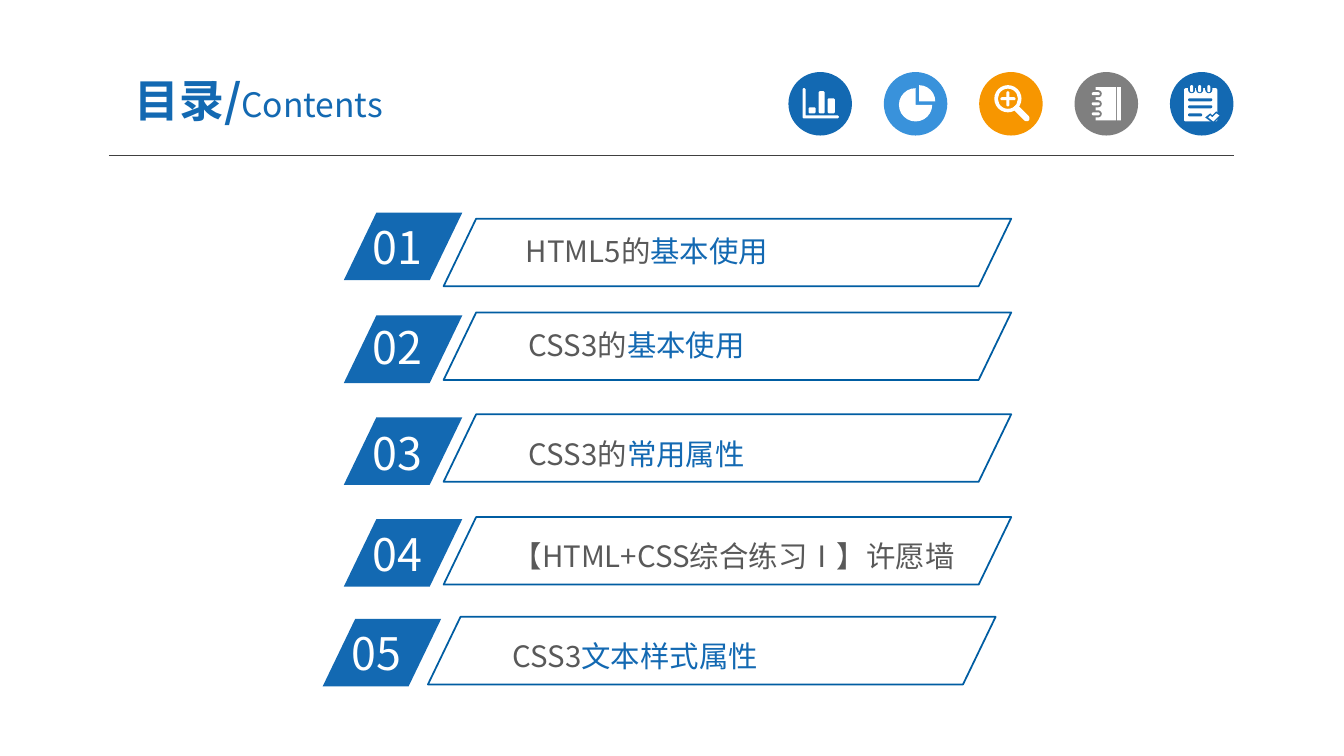
from dataclasses import dataclass

from lxml import etree
from pptx import Presentation
from pptx import util as u
from pptx.dml.color import RGBColor
from pptx.enum import shapes, text
from pptx.oxml.ns import qn

COLUMNS, ROWS = 1333, 750
PRESET = shapes.MSO_SHAPE


@dataclass(frozen=True)
class Theme:
    font: str = "Noto Sans CJK SC"
    blue: str = "1369B2"
    sky: str = "3992DB"
    orange: str = "F79600"
    gray: str = "7F7F7F"
    white: str = "FFFFFF"
    ink: str = "595959"
    rule: str = "404040"
    frame: str = "005DA2"
    heading: int = 32
    subheading: int = 24
    label: int = 21
    rule_width: float = 0.75
    frame_width: float = 1.25
    slant: float = 0.482


class Page:
    def __init__(self, deck, theme):
        self.theme = theme
        self.slide = deck.slides.add_slide(deck.slide_layouts[6])
        self.column = deck.slide_width / COLUMNS
        self.row = deck.slide_height / ROWS

    def x(self, columns):
        return u.Emu(round(columns * self.column))

    def y(self, rows):
        return u.Emu(round(rows * self.row))

    def box(self, left, top, width, height):
        return self.x(left), self.y(top), self.x(width), self.y(height)

    def paint(self, shape, fill=None, line=None):
        shape.shadow.inherit = False
        if fill:
            shape.fill.solid()
            shape.fill.fore_color.rgb = RGBColor.from_string(fill)
        else:
            shape.fill.background()
        if line:
            shape.line.color.rgb = RGBColor.from_string(line)
            shape.line.width = u.Pt(self.theme.frame_width)
        else:
            shape.line.fill.background()
        return shape

    def preset(self, kind, place, fill=None, line=None, adjust=None, turn=0):
        shape = self.slide.shapes.add_shape(kind, *self.box(*place))
        if adjust is not None:
            shape.adjustments[0] = adjust
        shape.rotation = turn
        return self.paint(shape, fill, line)

    def pill(self, place, fill, turn=0):
        return self.preset(PRESET.ROUNDED_RECTANGLE, place, fill, adjust=0.5, turn=turn)

    def slanted(self, place, fill=None, line=None):
        return self.preset(PRESET.PARALLELOGRAM, place, fill, line, self.theme.slant)

    def polygons(self, left, top, contours, fill):
        placed = [[(self.x(left + a), self.y(top + b)) for a, b in contour]
                  for contour in contours]
        outline = self.slide.shapes.build_freeform(*placed[0][0])
        for index, (start, *rest) in enumerate(placed):
            if index:
                outline.move_to(*start)
            outline.add_line_segments(rest, close=True)
        return self.paint(outline.convert_to_shape(), fill)

    def rule(self, left, right, row):
        line = self.slide.shapes.add_connector(
            shapes.MSO_CONNECTOR.STRAIGHT, self.x(left), self.y(row), self.x(right), self.y(row))
        line.line.color.rgb = RGBColor.from_string(self.theme.rule)
        line.line.width = u.Pt(self.theme.rule_width)
        etree.SubElement(line._element.spPr, qn("a:effectLst"))

    def words(self, place, runs, inset=(10, 5), spacing=1.0, align=text.PP_ALIGN.LEFT,
              anchor=text.MSO_ANCHOR.TOP, fit=text.MSO_AUTO_SIZE.SHAPE_TO_FIT_TEXT):
        frame = self.slide.shapes.add_textbox(*self.box(*place)).text_frame
        frame.word_wrap = True
        frame.auto_size = fit
        frame.vertical_anchor = anchor
        frame.margin_left = frame.margin_right = self.x(inset[0])
        frame.margin_top = frame.margin_bottom = self.y(inset[1])
        paragraph = frame.paragraphs[0]
        paragraph.alignment = align
        paragraph.line_spacing = spacing
        for words, size, color, bold in runs:
            run = paragraph.add_run()
            run.text = words
            run.font.name = self.theme.font
            run.font.size = u.Pt(size)
            run.font.bold = bold
            run.font.color.rgb = RGBColor.from_string(color)
            east_asian = etree.SubElement(run._r.get_or_add_rPr(), qn("a:ea"))
            east_asian.set("typeface", self.theme.font)

    def badge(self, left, top, fill, icon):
        self.preset(PRESET.OVAL, (left, top, 63, 63), fill)
        icon(self, left, top, fill)


def bar_chart(page, left, top, disc):
    axes = [(14, 17), (15, 16), (16, 16), (17, 17), (17, 43), (49, 43), (50, 44),
            (50, 45), (49, 46), (15, 46), (14, 45)]
    bars = [[(a + 1, b), (a + w - 1, b), (a + w, b + 1), (a + w, 40),
             (a + w - 1, 41), (a + 1, 41), (a, 40), (a, b + 1)]
            for a, b, w in ((20, 35, 7), (30, 19, 6), (39, 26, 7))]
    page.polygons(left, top, [axes, *bars], page.theme.white)


def pie_chart(page, left, top, disc):
    page.preset(PRESET.PIE, (left + 15, top + 16, 33, 33), page.theme.white)
    slice_ = page.preset(PRESET.PIE, (left + 19, top + 13, 32, 32), page.theme.white)
    slice_.adjustments[0] = 162
    slice_.adjustments[1] = 0


def magnifier(page, left, top, disc):
    white = page.theme.white
    page.preset(PRESET.DONUT, (left + 15, top + 13, 27, 27), white, adjust=0.13)
    page.pill((left + 21, top + 25, 15, 3), white)
    page.pill((left + 27, top + 19, 3, 15), white)
    page.pill((left + 32, top + 38, 20, 6), white, turn=45)


def notebook(page, left, top, disc):
    white = page.theme.white
    for a, w in ((21, 20), (42, 4)):
        page.preset(PRESET.RECTANGLE, (left + a, top + 15, w, 33), white)
    for ring in (21, 31, 41):
        page.pill((left + 17, top + ring - 3, 10, 7), disc)
        page.pill((left + 17, top + ring - 1, 8, 3), white)


def checklist(page, left, top, disc):
    white = page.theme.white
    page.preset(PRESET.ROUNDED_RECTANGLE, (left + 14, top + 16, 33, 33), white, adjust=0.05)
    for ring in (22, 30, 39):
        page.pill((left + ring - 4, top + 11, 7, 10), disc)
        page.pill((left + ring - 2, top + 13, 3, 7), white)
    for row, width in ((26, 24), (33, 24), (41, 14)):
        page.pill((left + 18, top + row, width, 3), disc)
    for tick, fill in ((((35, 45), (40, 41), (42, 43), (46, 39), (51, 43), (43, 51)), disc),
                       (((38, 45), (40, 43), (42, 45), (46, 41), (49, 43), (43, 49)), white)):
        page.polygons(left, top, [tick], fill)


def build():
    theme = Theme()
    deck = Presentation()
    deck.slide_width, deck.slide_height = u.Inches(13.33), u.Inches(7.5)
    page = Page(deck, theme)

    page.rule(108, 1223.5, 154.5)
    badges = ((theme.blue, bar_chart), (theme.sky, pie_chart), (theme.orange, magnifier),
              (theme.gray, notebook), (theme.blue, checklist))
    for index, (fill, icon) in enumerate(badges):
        page.badge(782 + 94.6 * index, 71.5, fill, icon)

    page.words((92, 63, 329, 72),
               [("目录/", theme.heading, theme.blue, True),
                ("Contents", theme.subheading, theme.blue, False)],
               inset=(13, 7), align=text.PP_ALIGN.CENTER,
               anchor=text.MSO_ANCHOR.MIDDLE, fit=text.MSO_AUTO_SIZE.NONE)

    chapters = (
        (341, 211, 213, 440, 217, 514, 227, 1.0, "HTML5的", "基本使用"),
        (341, 313, 312, 440, 310, 517, 320, 1.0, "CSS3的", "基本使用"),
        (341, 414, 417, 440, 411, 517, 422, 1.2, "CSS3的", "常用属性"),
        (341, 515, 518, 440, 513, 501, 523, 1.2, "【HTML+CSS综合练习Ⅰ】许愿墙", ""),
        (320, 614, 616, 424.5, 612, 501, 622, 1.2, "CSS3", "文本样式属性"),
    )
    for number, chapter in enumerate(chapters, 1):
        (chip_left, chip_top, number_top, frame_left, frame_top,
         topic_left, topic_top, spacing, subject, focus) = chapter
        page.slanted((chip_left, chip_top, 117.5, 67), fill=theme.blue)
        page.words((chip_left + 19, number_top, 112, 64),
                   [(f"{number:02}", theme.heading, theme.white, False)])
        page.slanted((frame_left, frame_top, 563, 67), line=theme.frame)
        topic = [(subject, theme.label, theme.ink, False)]
        if focus:
            topic.append((focus, theme.label, theme.blue, False))
        page.words((topic_left, topic_top, 412 if focus else 486, 46 if spacing > 1 else 43),
                   topic, inset=(7.5, 4), spacing=spacing)

    deck.save("out.pptx")


if __name__ == "__main__":
    build()
